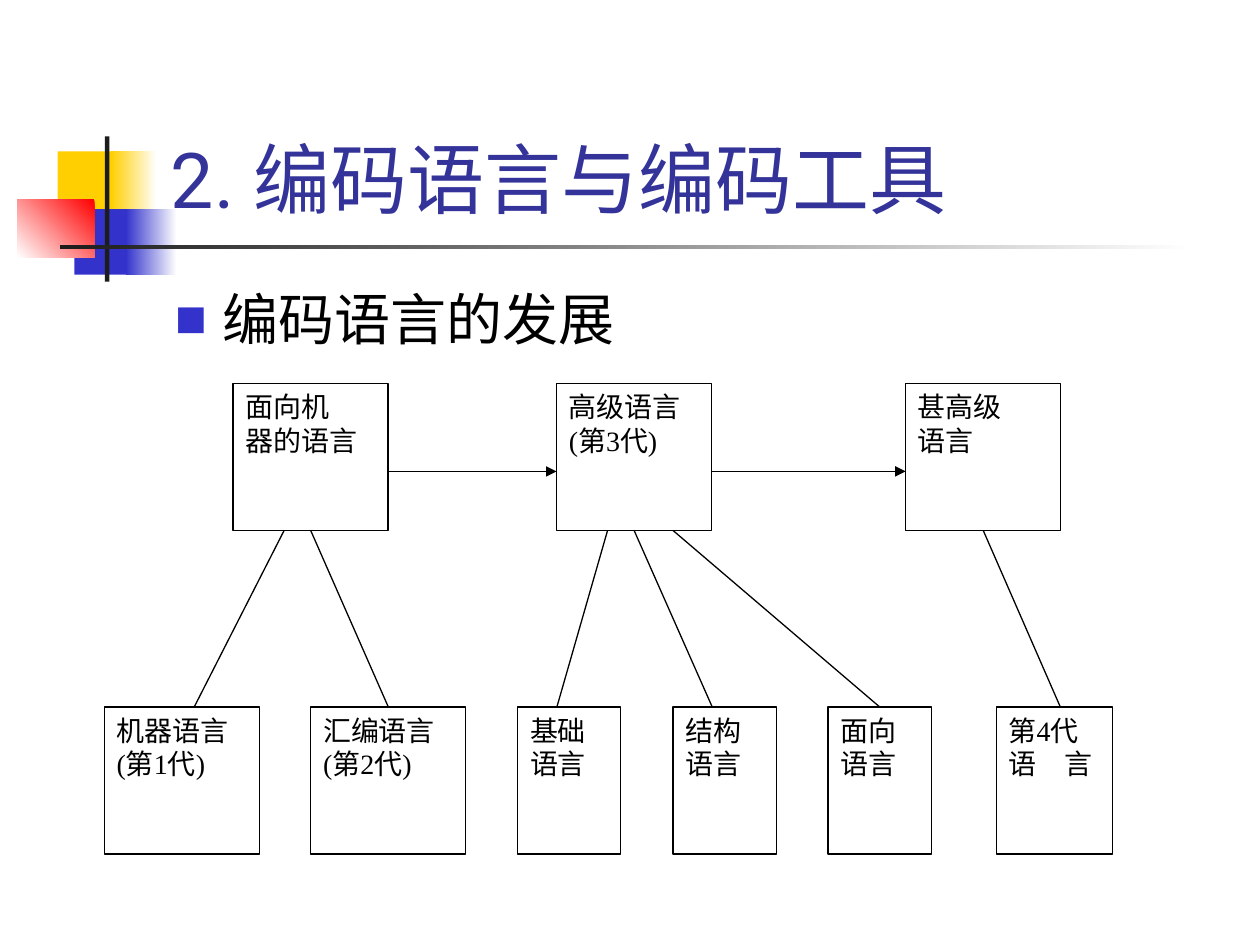
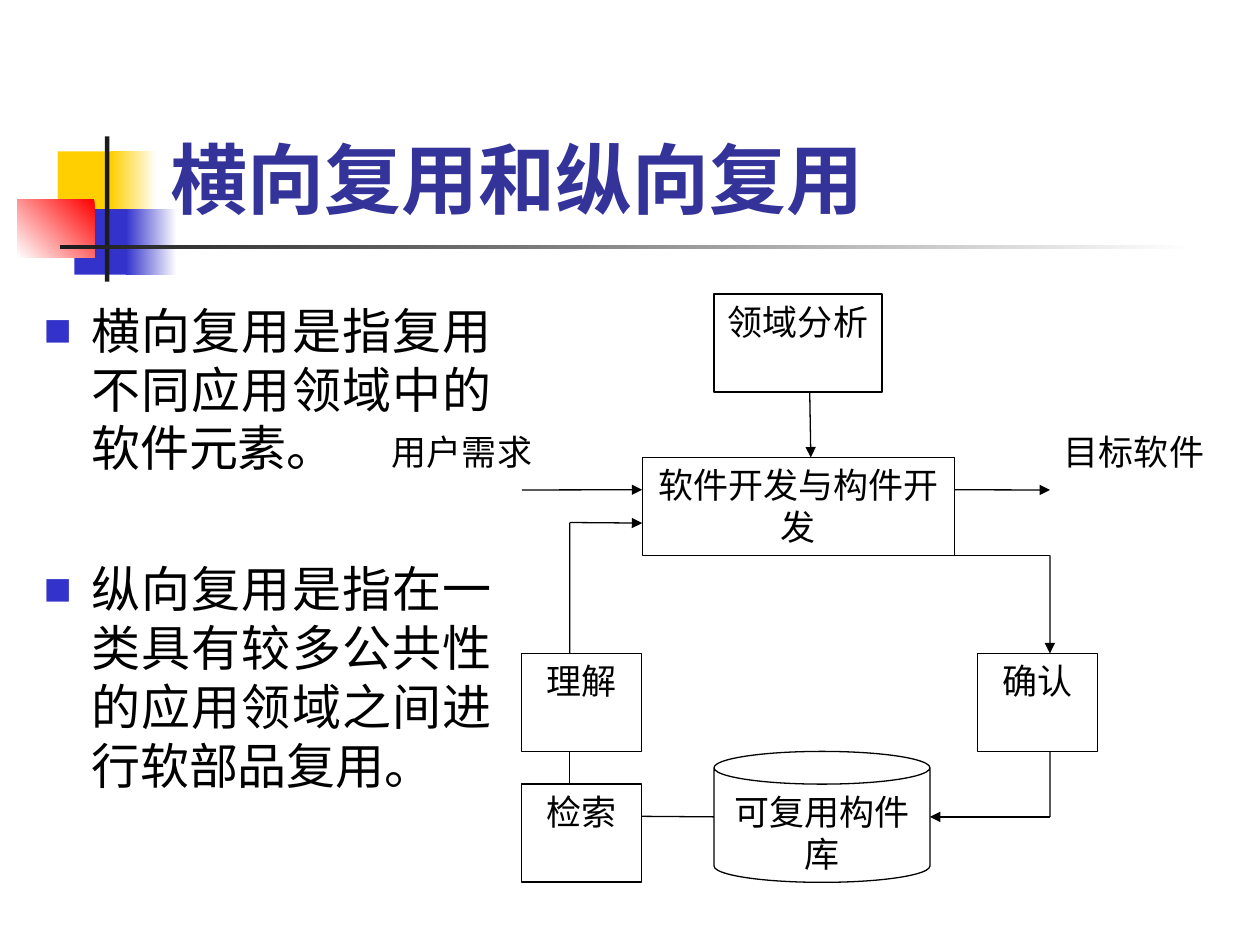
from lxml import etree
from pptx import Presentation
from pptx.dml.color import RGBColor
from pptx.enum import shapes, text
from pptx.oxml import ns
from pptx.util import Pt

# Content: boxes are name: (text, left, width), or with top and height too
HUES = {"title": "333399", "ink": "000000", "paper": "FFFFFF", "gold": "FFCF01",
        "blue": "3333CC", "red": "FF0000", "dark": "1C1C1C"}
SERIF, SANS, CJK = "Times New Roman", "Roboto", "Noto Sans CJK SC"

# Left, top, width, height, colours from first to last stop, angle
DECOR = [
    (33, 86.5, 34.5, 37.5, ["gold"], 0),
    (63.5, 86.5, 26, 37.5, ["paper", "gold"], 180),
    (42.5, 119.5, 33, 37.5, ["blue"], 0),
    (72, 119.5, 29, 37.5, ["paper", "blue"], 180),
    (10, 114, 44, 33, ["red", "paper"], 225),
    (60, 78, 2.5, 83, ["dark"], 0),
    (34.5, 140, 648, 2.5, ["paper", "dark"], 180),
]

HEAD1 = "2. 编码语言与编码工具"
BODY1 = ["编码语言的发展"]
STAGES = {
    "low": ("面向机\n器的语言", 133.2, 88.6),
    "high": ("高级语言\n(第3代)", 318, 88.6),
    "very": ("甚高级\n语言", 517.5, 88.6),
}
KINDS = {
    "code": ("机器语言\n(第1代)", 59.6, 88.6),
    "asm": ("汇编语言\n(第2代)", 177.6, 88.6),
    "base": ("基础\n语言", 295.8, 59),
    "struct": ("结构\n语言", 384.6, 59),
    "object": ("面向\n语言", 473.2, 59),
    "fourth": ("第4代\n语　言", 569.4, 66.4),
}
TOP1, TOP2, TALL = 219, 404, 84

# A link end is a point, or (box, side, share of that side); True adds an arrowhead
LINKS1 = [
    (("low", "right", 0.6), ("high", "left", 0.6), True),
    (("high", "right", 0.6), ("very", "left", 0.6), True),
    (("low", "bottom", 0.33), ("code", "top", 0.58), False),
    (("low", "bottom", 0.5), ("asm", "top", 0.5), False),
    (("high", "bottom", 0.33), ("base", "top", 0.38), False),
    (("high", "bottom", 0.5), ("struct", "top", 0.38), False),
    (("high", "bottom", 0.75), ("object", "top", 0.5), False),
    (("very", "bottom", 0.5), ("fourth", "top", 0.55), False),
]

HEAD2 = "横向复用和纵向复用"
BODY2 = ["横向复用是指复用不同应用领域中的软件元素。",
         "纵向复用是指在一类具有较多公共性的应用领域之间进行软部品复用。"]
STEPS = {
    "domain": ("领域分析", 408, 168, 96, 56),
    "need": ("用户需求", 216, 242.6, 96, 56),
    "dev": ("软件开发与构件开发", 367, 261.4, 178.4, 56),
    "goal": ("目标软件", 600, 242.6, 96, 56),
    "check": ("确认", 558.8, 373.4, 68.6, 56),
    "store": ("可复用构件库", 408, 429.4, 123.4, 74.8),
    "find": ("检索", 298.2, 448, 68.6, 56),
    "grasp": ("理解", 298.2, 373.4, 68.6, 56),
}
BARE = {"need", "goal"}
FLOW, BACK = 280, 298.6     # heights of the flow and of the return line
EAST, WEST = 600, 325.6     # columns of the loop
LOW = 466.8
LINKS2 = [
    (("domain", "bottom", 0.57), ("dev", "top", 0.54), True),
    ((298.2, FLOW), ("dev", "left", 0.33), True),
    (("dev", "right", 0.33), (EAST, FLOW), True),
    (("dev", "right", 1), (EAST, 317.4), False),
    ((EAST, 317.4), ("check", "top", 0.6), True),
    (("check", "bottom", 0.6), (EAST, LOW), False),
    ((EAST, LOW), ("store", "right", 0.5), True),
    (("store", "left", 0.5), ("find", "right", 0.33), False),
    (("grasp", "bottom", 0.4), ("find", "top", 0.4), False),
    (("grasp", "top", 0.4), (WEST, BACK), False),
    ((WEST, BACK), ("dev", "left", 0.67), True),
]
SIDES = ["top", "left", "bottom", "right"]


def hue(name):
    return RGBColor.from_string(HUES[name])


def style(para, face, size, tint="ink", bold=False):
    font = para.font
    font.name, font.size, font.bold = face, Pt(size), bold
    font.color.rgb = hue(tint)


def label(slide, place):
    frame = slide.shapes.add_textbox(*map(Pt, place)).text_frame
    frame.word_wrap = True
    return frame


# Shared frame: decoration and title
def start(deck, head, face, bold=False):
    slide = deck.slides.add_slide(deck.slide_layouts[6])
    for *place, tints, angle in DECOR:
        block = slide.shapes.add_shape(shapes.MSO_SHAPE.RECTANGLE, *map(Pt, place))
        block.shadow.inherit = False
        block.line.fill.background()
        if len(tints) == 1:
            block.fill.solid()
            block.fill.fore_color.rgb = hue(tints[0])
            continue
        block.fill.gradient()
        block.fill.gradient_angle = angle
        for stop, tint in zip(block.fill.gradient_stops, tints):
            stop.color.rgb = hue(tint)
    frame = label(slide, (90.5, 16.5, 613.5, 115))
    frame.vertical_anchor = text.MSO_ANCHOR.BOTTOM
    frame.text = head
    style(frame.paragraphs[0], face, 44, "title", bold)
    return slide


# Bulleted text
def bullets(slide, place, lines, face, size, first, gap, align):
    frame = label(slide, place)
    frame.text = "\n".join(lines)
    for i, para in enumerate(frame.paragraphs):
        style(para, face, size)
        para.alignment = align
        para.space_before = Pt(gap if i else first)
        props = para._p.get_or_add_pPr()
        props.set("marL", str(Pt(27)))
        props.set("indent", str(-Pt(27)))
        tint = etree.SubElement(props, ns.qn("a:buClr"))
        etree.SubElement(tint, ns.qn("a:srgbClr"), val=HUES["blue"])
        etree.SubElement(props, ns.qn("a:buSzPct"), val="60000")
        etree.SubElement(props, ns.qn("a:buFont"), typeface=SANS)
        etree.SubElement(props, ns.qn("a:buChar"), char="■")


# Diagram parts
def box(slide, words, place, size, align, kind="RECTANGLE", edge=True):
    shape = slide.shapes.add_shape(shapes.MSO_SHAPE[kind], *map(Pt, place))
    shape.shadow.inherit = False
    shape.fill.solid()
    shape.fill.fore_color.rgb = hue("paper")
    if edge:
        shape.line.color.rgb = hue("ink")
        shape.line.width = Pt(0.75)
    else:
        shape.line.fill.background()
    frame = shape.text_frame
    frame.word_wrap = True
    frame.vertical_anchor = text.MSO_ANCHOR.TOP
    frame.text = words
    for para in frame.paragraphs:
        para.alignment = align
        style(para, SERIF, size)
    return shape


def spot(boxes, end):
    if len(end) == 2:
        return tuple(map(Pt, end))
    name, side, share = end
    b = boxes[name]
    if side in ("top", "bottom"):
        return b.left + int(b.width * share), b.top + b.height * (side == "bottom")
    return b.left + b.width * (side == "right"), b.top + int(b.height * share)


def link(slide, boxes, links):
    for tail, tip, arrow in links:
        line = slide.shapes.add_connector(
            shapes.MSO_CONNECTOR.STRAIGHT, *spot(boxes, tail), *spot(boxes, tip))
        line.line.color.rgb = hue("ink")
        line.line.width = Pt(0.75)
        for end, join in ((tail, line.begin_connect), (tip, line.end_connect)):
            if len(end) == 3 and end[2] == 0.5:
                shape = boxes[end[0]]
                if shape.auto_shape_type == shapes.MSO_SHAPE.RECTANGLE:
                    join(shape, SIDES.index(end[1]))
        if arrow:
            etree.SubElement(line.line._get_or_add_ln(), ns.qn("a:tailEnd"), type="triangle")
        etree.SubElement(line._element.spPr, ns.qn("a:effectLst"))


# Slide 1: growth of coding languages
def growth(deck):
    slide = start(deck, HEAD1, SANS)
    left = text.PP_ALIGN.LEFT
    bullets(slide, (93, 159, 612, 324), BODY1, SANS, 32, 8, 8, left)
    boxes = {}
    for row, top in ((STAGES, TOP1), (KINDS, TOP2)):
        for name, (words, x, wide) in row.items():
            boxes[name] = box(slide, words, (x, top, wide, TALL), 16, left)
    link(slide, boxes, LINKS1)


# Slide 2: reuse across and within domains
def reuse(deck):
    slide = start(deck, HEAD2, CJK, True)
    bullets(slide, (18, 168, 270, 324), BODY2, CJK, 28, 7, 47, text.PP_ALIGN.JUSTIFY)
    boxes = {}
    for name, (words, *place) in STEPS.items():
        kind = "CAN" if name == "store" else "RECTANGLE"
        boxes[name] = box(slide, words, place, 20, text.PP_ALIGN.CENTER,
                          kind, name not in BARE)
    link(slide, boxes, LINKS2)


def main():
    deck = Presentation()
    deck.slide_width, deck.slide_height = Pt(720), Pt(540)
    growth(deck)
    reuse(deck)
    deck.save("out.pptx")


if __name__ == "__main__":
    main()
